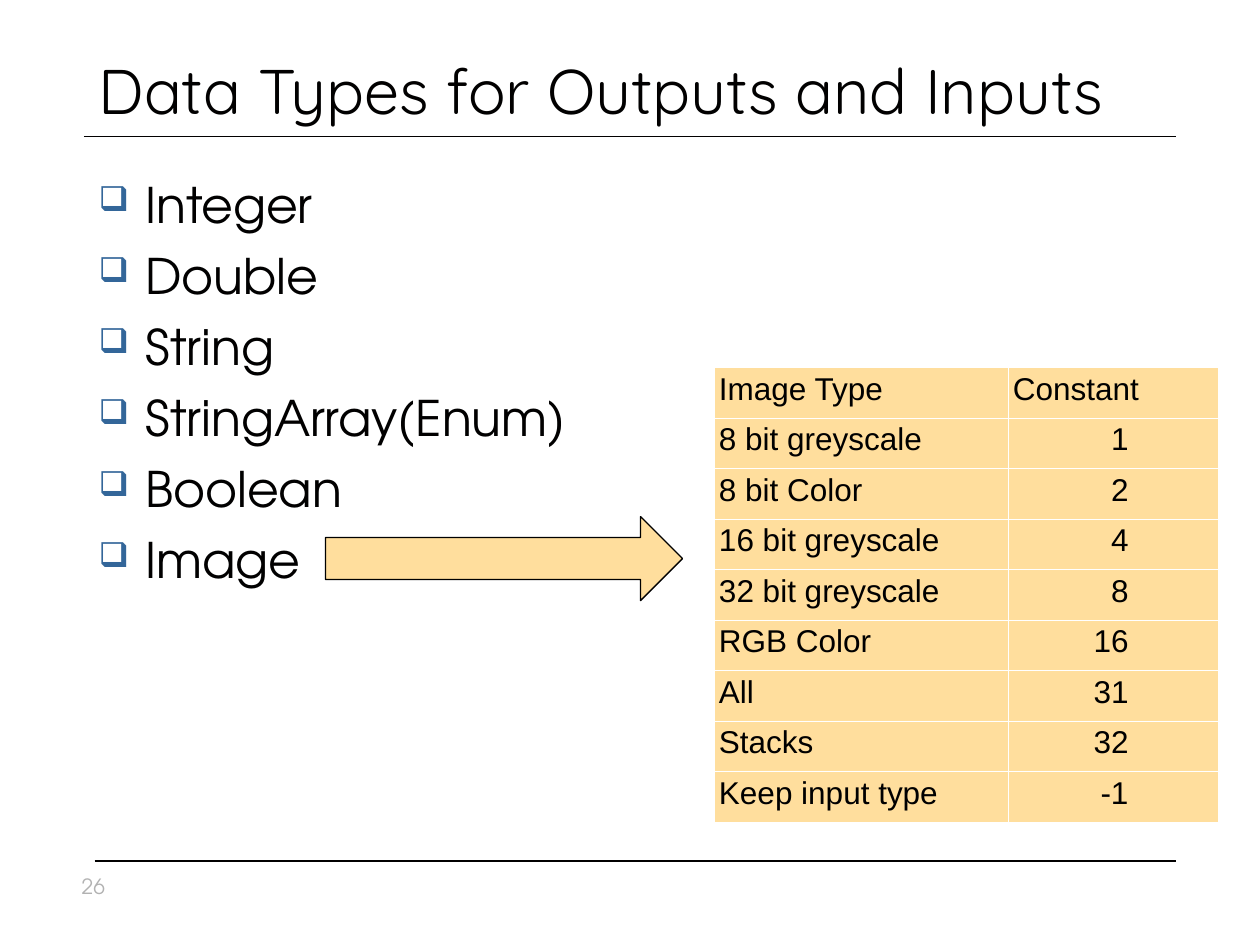
from lxml.etree import SubElement
from pptx import Presentation
from pptx.dml.color import RGBColor
from pptx.enum.shapes import MSO_CONNECTOR, MSO_SHAPE
from pptx.enum.text import MSO_ANCHOR, MSO_AUTO_SIZE, PP_ALIGN
from pptx.oxml.ns import qn
from pptx.util import Inches, Pt

HUES = {"ink": "010000", "text": "000000", "mark": "336699",
        "sand": "FFDE9D", "page": "B2B2B2", "edge": "FFFFFF"}
TYPES = ["Integer", "Double", "String", "StringArray(Enum)", "Boolean", "Image"]
ROWS = [("Image Type", "Constant"), ("8 bit greyscale", "1"), ("8 bit Color", "2"),
        ("16 bit greyscale", "4"), ("32 bit greyscale", "8"), ("RGB Color", "16"),
        ("All", "31"), ("Stacks", "32"), ("Keep input type", "-1")]
COLS, LINES = 120, 90
WIDE, HIGH = Inches(10), Inches(7.5)


def hue(name):
    """Return a named colour."""
    return RGBColor.from_string(HUES[name])


def area(col, row, cols, rows):
    """Turn grid columns and rows into slide lengths."""
    x, y = WIDE / COLS, HIGH / LINES
    return int(col * x), int(row * y), int(cols * x), int(rows * y)


def style(para, size, face, tint):
    """Format every run of a paragraph."""
    for run in para.runs:
        run.font.size, run.font.name = Pt(size), face
        run.font.color.rgb = hue(tint)


def add_title(slide, box):
    """Place and format the title."""
    head = slide.shapes.title
    head.left, head.top, head.width, head.height = box
    frame = head.text_frame
    frame.text = "Data Types for Outputs and Inputs"
    frame.auto_size = MSO_AUTO_SIZE.NONE
    frame.vertical_anchor = MSO_ANCHOR.MIDDLE
    frame.paragraphs[0].alignment = PP_ALIGN.LEFT
    style(frame.paragraphs[0], 36, "Quicksand", "ink")


def add_rule(slide, box):
    """Draw a level rule along the top of the box."""
    left, top, width, _ = box
    rule = slide.shapes.add_connector(MSO_CONNECTOR.STRAIGHT, left, top, left + width, top)
    rule.line.color.rgb, rule.line.width = hue("ink"), Pt(1)
    SubElement(rule.element.spPr, qn("a:effectLst"))


def add_page(slide, box):
    """Write the page number."""
    frame = slide.shapes.add_textbox(*box).text_frame
    frame.word_wrap = True
    frame.text = "26"
    style(frame.paragraphs[0], 12, "TeX Gyre Adventor", "page")


def add_mark(para):
    """Give a paragraph a hanging box bullet."""
    props = para._p.get_or_add_pPr()
    props.set("marL", str(Inches(0.37)))
    props.set("indent", str(-Inches(0.37)))
    tint = SubElement(props, qn("a:buClr"))
    SubElement(tint, qn("a:srgbClr"), val=HUES["mark"])
    SubElement(props, qn("a:buSzPct"), val="70000")
    SubElement(props, qn("a:buChar"), char="❑")


def add_list(slide, box):
    """Write the bulleted list of types."""
    frame = slide.shapes.add_textbox(*box).text_frame
    frame.word_wrap = True
    frame.text = "\n".join(TYPES)
    for para in frame.paragraphs:
        para.space_before = Pt(7)
        add_mark(para)
        style(para, 28, "TeX Gyre Adventor", "ink")


def add_edges(cell):
    """Draw thin lines around a cell."""
    props = cell._tc.get_or_add_tcPr()
    for side in ("lnL", "lnR", "lnT", "lnB"):
        line = SubElement(props, qn(f"a:{side}"), w=str(Pt(0.06)))
        SubElement(SubElement(line, qn("a:solidFill")), qn("a:srgbClr"), val=HUES["edge"])


def fill_cell(cell, text, value):
    """Write and format one cell, with values set to the right."""
    add_edges(cell)
    cell.fill.solid()
    cell.fill.fore_color.rgb = hue("sand")
    cell.margin_left = Inches(0.04)
    cell.margin_right = Inches(0.71 if value else 0.04)
    cell.text = text
    para = cell.text_frame.paragraphs[0]
    para.alignment = PP_ALIGN.RIGHT if value else PP_ALIGN.LEFT
    para.line_spacing = 0.93
    style(para, 18, "Arial", "text")


def add_grid(slide, box):
    """Build the table of image types."""
    table = slide.shapes.add_table(len(ROWS), 2, *box).table
    table.first_row = table.horz_banding = False
    for col, part in zip(table.columns, (28, 20)):
        col.width = box[2] * part // 48
    for i, row in enumerate(ROWS):
        for j, text in enumerate(row):
            fill_cell(table.cell(i, j), text, i > 0 and j == 1)


def add_arrow(slide, box):
    """Draw the arrow from the list to the table."""
    arrow = slide.shapes.add_shape(MSO_SHAPE.RIGHT_ARROW, *box)
    arrow.shadow.inherit = False
    arrow.fill.solid()
    arrow.fill.fore_color.rgb = hue("sand")
    arrow.line.color.rgb, arrow.line.width = hue("text"), Pt(0.75)


def main():
    """Build and save the slide."""
    deck = Presentation()
    deck.slide_width, deck.slide_height = WIDE, HIGH
    slide = deck.slides.add_slide(deck.slide_layouts[5])
    add_rule(slide, area(9, 82, 103, 0))
    add_rule(slide, area(8, 13, 104, 0))
    add_page(slide, area(6.6, 82.6, 12, 4))
    add_title(slide, area(8.2, 3, 104, 11))
    add_list(slide, area(8.2, 16, 104, 65))
    add_grid(slide, area(68, 35, 48, 43.3))
    add_arrow(slide, area(31, 49.2, 34, 8))
    deck.save("out.pptx")


if __name__ == "__main__":
    main()
